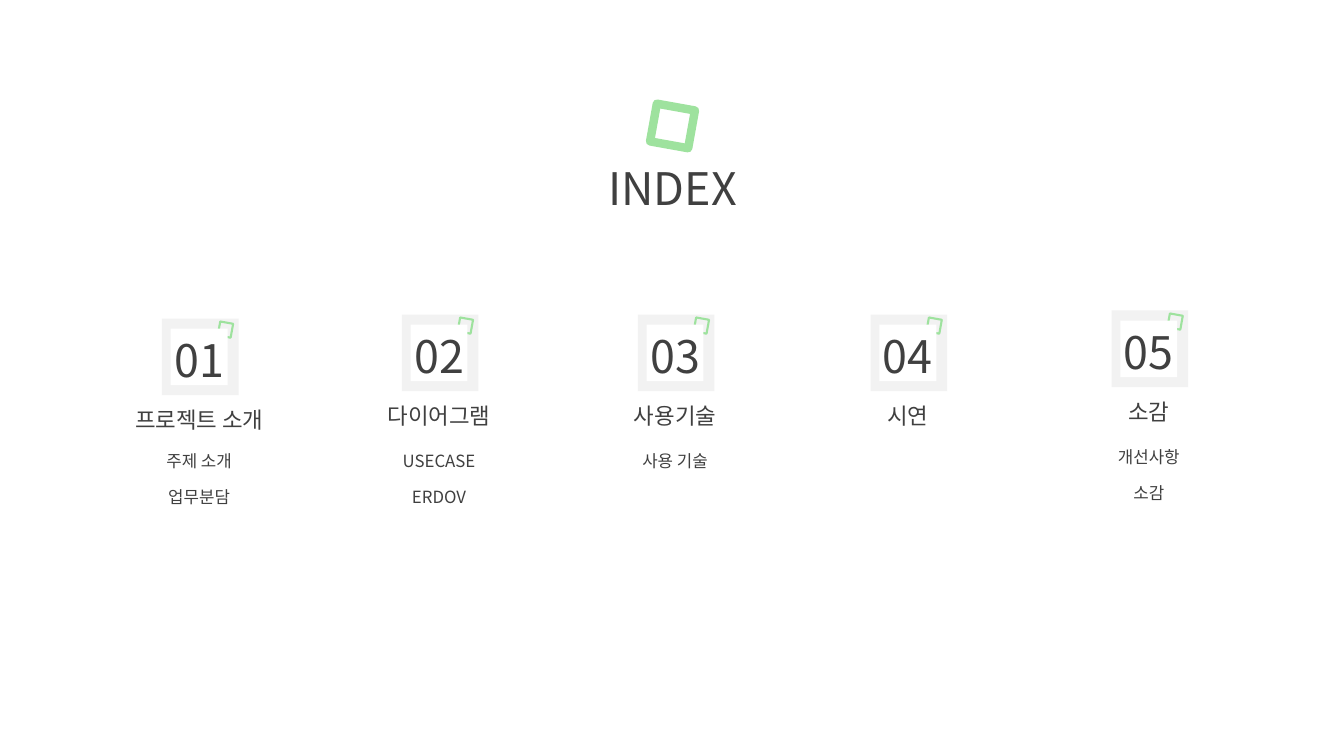
from pptx import Presentation
from pptx.dml.color import RGBColor as RGB
from pptx.enum.shapes import MSO_SHAPE as SHAPE
from pptx.enum.text import MSO_ANCHOR as ANCHOR, PP_ALIGN as ALIGN
from pptx.util import Inches, Pt

COLORS = {"green": "9EE29E", "grey": "F2F2F2", "white": "FFFFFF", "text": "404040"}
FONT = "Noto Sans CJK KR"
TILT = 10.2
WIDTH, HEIGHT = Inches(13.33), Inches(7.5)
SECTION_W, SECTION_H = 16.28, 26.67
DETAIL_STEP = 0.18

SECTIONS = [
    (6.68, 42.13, "프로젝트 소개", 0.63, ["주제 소개", "업무분담"]),
    (24.53, 41.6, "다이어그램", 0.65, ["USECASE", "ERDOV"]),
    (42.09, 41.6, "사용기술", 0.65, ["사용 기술"]),
    (59.41, 41.6, "시연", 0.65, []),
    (77.34, 41.07, "소감", 0.65, ["개선사항", "소감"]),
]


def slide_box(left, top, width, height):
    col, row = WIDTH / 100, HEIGHT / 100
    return left * col, top * row, width * col, height * row


def within(box, left, top, width, height):
    x, y, w, h = box
    return [round(v) for v in (x + left * w, y + top * h, width * w, height * h)]


def add_square(shapes, area, fill=None, outline=None):
    sp = shapes.add_shape(SHAPE.RECTANGLE, *area)
    sp.shadow.inherit = False
    if fill:
        sp.fill.solid()
        sp.fill.fore_color.rgb = RGB.from_string(COLORS[fill])
    else:
        sp.fill.background()
    if outline:
        sp.line.color.rgb = RGB.from_string(COLORS["green"])
        sp.line.width = Pt(outline)
        sp.rotation = TILT
    else:
        sp.line.fill.background()


def add_text(shapes, area, text, size):
    tf = shapes.add_textbox(*area).text_frame
    tf.word_wrap = True
    tf.vertical_anchor = ANCHOR.MIDDLE
    p = tf.paragraphs[0]
    p.alignment = ALIGN.CENTER
    r = p.add_run()
    r.text = text
    r.font.name = FONT
    r.font.size = Pt(size)
    r.font.color.rgb = RGB.from_string(COLORS["text"])


def add_heading(s, box):
    add_square(s.shapes, within(box, 0.38, 0, 0.24, 0.34), outline=6)
    add_text(s.shapes, within(box, 0, 0.43, 1, 0.57), "INDEX", 32)


def add_section(s, box, number, title, detail_top, details):
    shapes = s.shapes.add_group_shape().shapes
    add_square(shapes, within(box, 0.33, 0, 0.35, 0.38), fill="grey")
    add_square(shapes, within(box, 0.59, 0.02, 0.06, 0.07), outline=1.5)
    add_square(shapes, within(box, 0.37, 0.05, 0.26, 0.28), fill="white")
    add_text(shapes, within(box, 0.33, 0.05, 0.34, 0.31), f"{number:02}", 32)
    add_text(shapes, within(box, 0.03, 0.41, 0.94, 0.18), title, 16)
    for i, detail in enumerate(details):
        top = detail_top + i * DETAIL_STEP
        add_text(shapes, within(box, 0, top, 1, 0.15), detail, 12)


def main():
    prs = Presentation()
    prs.slide_width, prs.slide_height = WIDTH, HEIGHT
    s = prs.slides.add_slide(prs.slide_layouts[6])
    add_heading(s, slide_box(44.04, 14.13, 12, 14.93))
    for number, (left, top, title, detail_top, details) in enumerate(SECTIONS, 1):
        box = slide_box(left, top, SECTION_W, SECTION_H)
        add_section(s, box, number, title, detail_top, details)
    prs.save("out.pptx")


if __name__ == "__main__":
    main()
